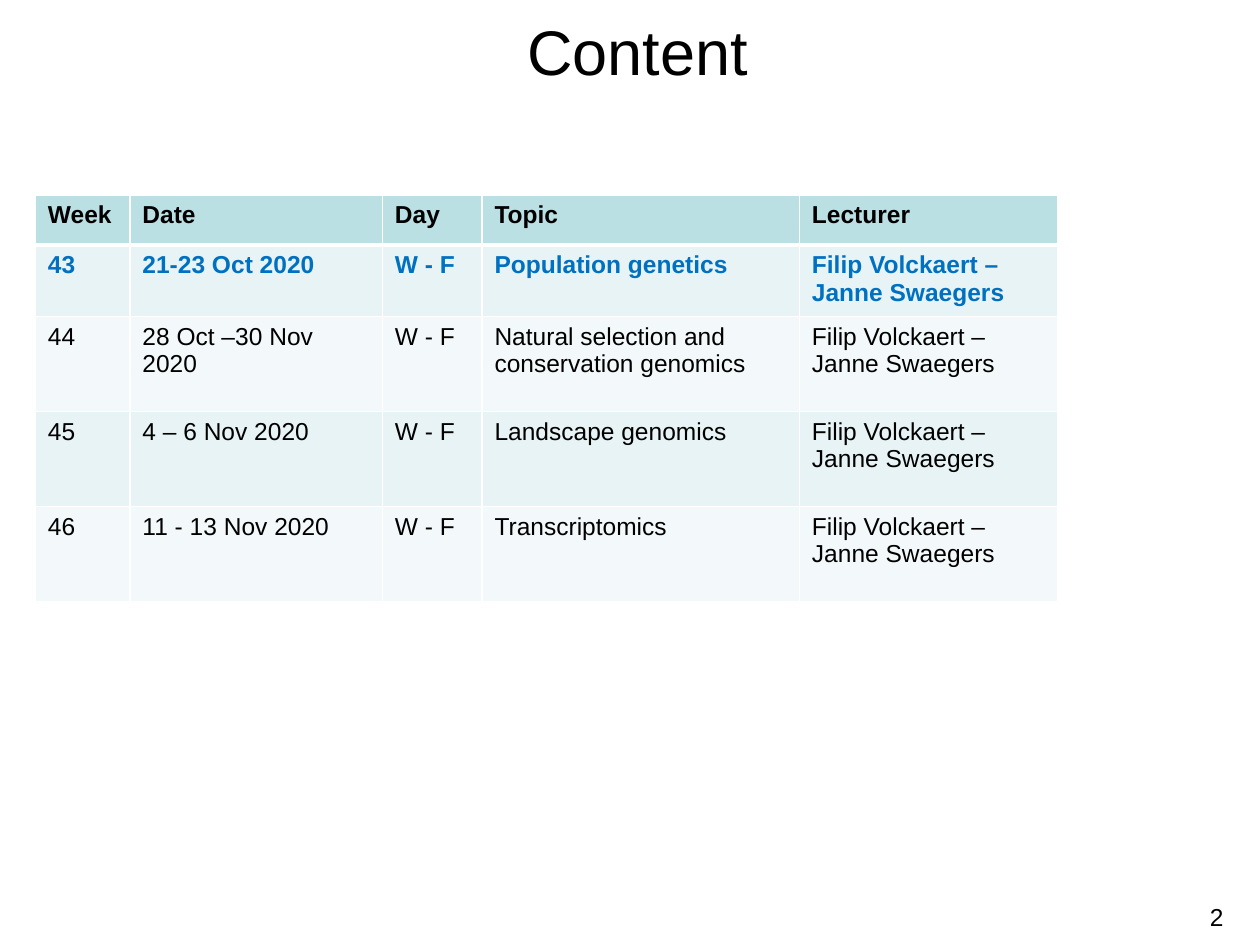
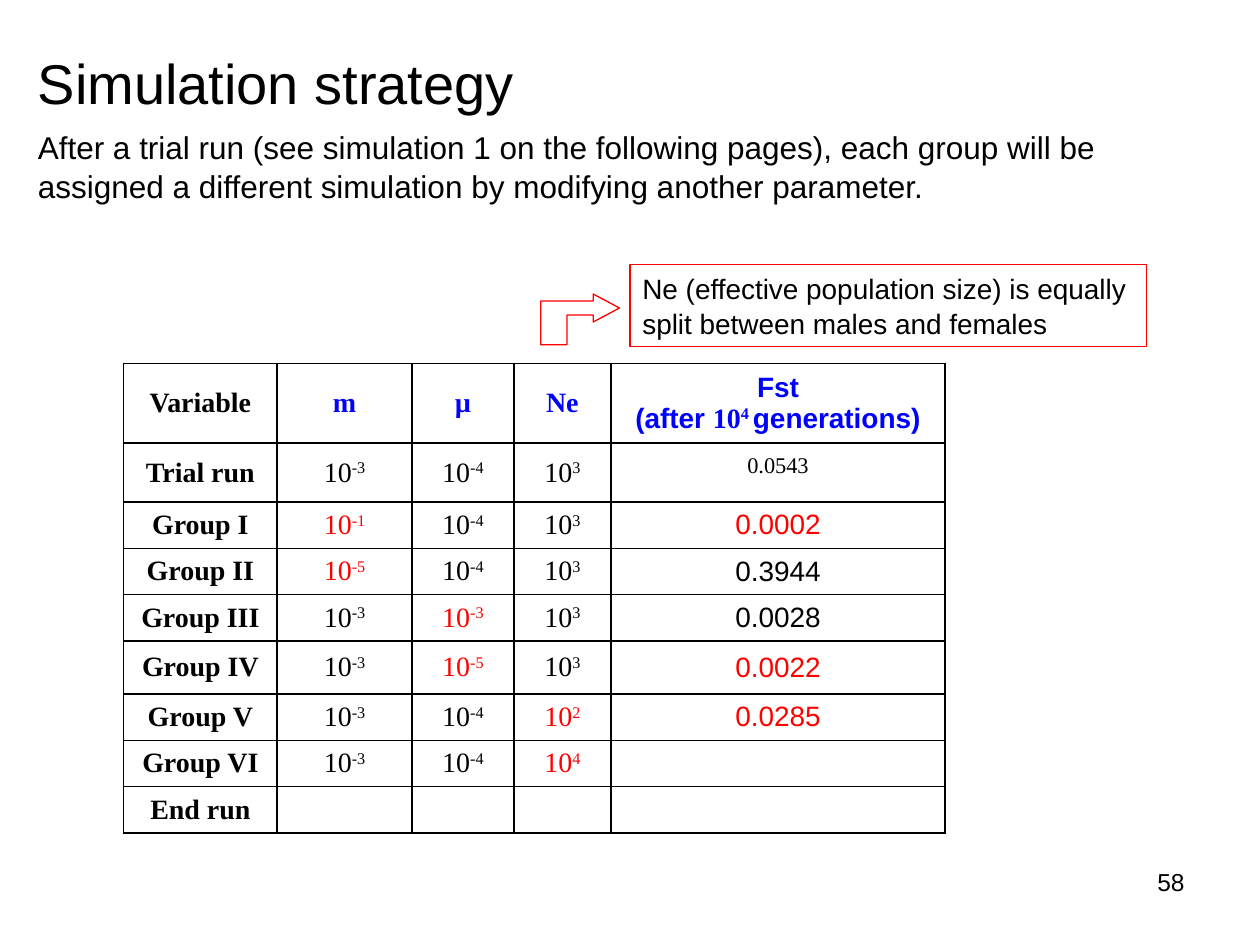
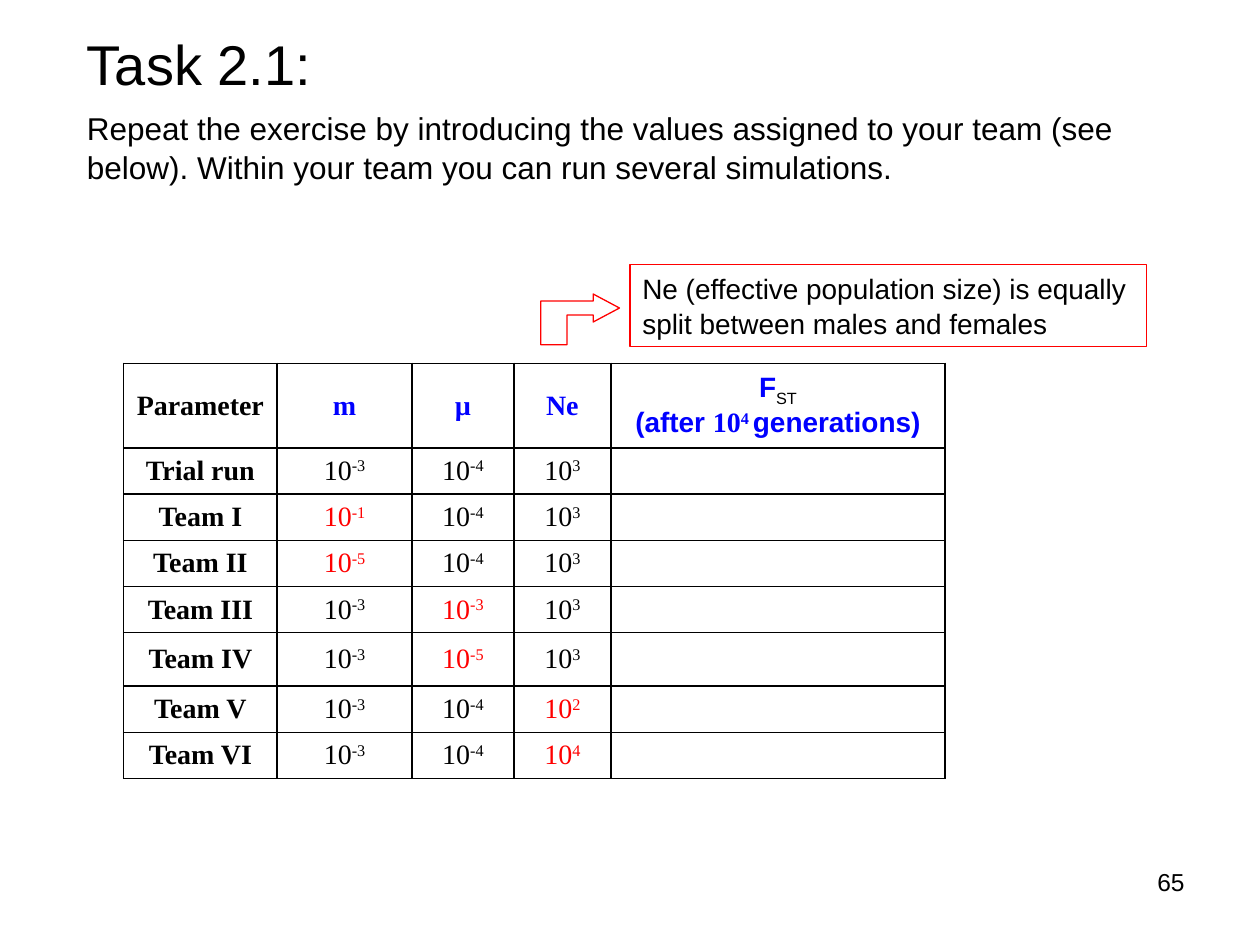
from dataclasses import dataclass

from lxml import etree
from pptx import Presentation
from pptx import util as u
from pptx.dml.color import RGBColor
from pptx.enum import shapes, text
from pptx.oxml.ns import qn

Pt = u.Pt
LEFT, CENTER, RIGHT = text.PP_ALIGN.LEFT, text.PP_ALIGN.CENTER, text.PP_ALIGN.RIGHT
TOP, MIDDLE = text.MSO_ANCHOR.TOP, text.MSO_ANCHOR.MIDDLE


@dataclass(frozen=True)
class Theme:
    sans: str = "Arial"
    serif: str = "Times New Roman"
    black: str = "000000"
    white: str = "FFFFFF"
    red: str = "FF0000"
    blue: str = "0000FF"
    current: str = "0070C0"
    header: str = "BBE0E3"
    bands: tuple = ("E7F3F4", "F3F9FA")
    title: int = 36
    heading: int = 32
    body: int = 18
    cell: int = 16
    small: int = 14


T = Theme()


def write(tf, paragraphs, align=LEFT, anchor=TOP, spacing=None, **fmt):
    """Fill a text frame; a paragraph is a string or a list of (text, format) runs."""
    tf.word_wrap = True
    tf.vertical_anchor = anchor
    for i, runs in enumerate(paragraphs):
        p = tf.paragraphs[0] if i == 0 else tf.add_paragraph()
        p.alignment, p.line_spacing = align, spacing
        p.space_before = Pt(0)
        for words, own in [(runs, {})] if isinstance(runs, str) else runs:
            f = {"font": T.sans, "size": T.small, "color": T.black,
                 "bold": False, "base": 0, **fmt, **own}
            r = p.add_run()
            r.text = words
            r.font.name, r.font.size, r.font.bold = f["font"], Pt(f["size"]), f["bold"]
            r.font.color.rgb = RGBColor.from_string(f["color"])
            if f["base"]:
                r.font._element.set("baseline", str(f["base"] * 1000))


def border(cell, color, width, sides="LRTB"):
    """Draw cell borders; they must stand before the fill in tcPr."""
    tc_pr = cell._tc.get_or_add_tcPr()
    for i, side in enumerate(sides):
        ln = etree.Element(qn(f"a:ln{side}"), w=str(Pt(width)))
        fill = etree.SubElement(ln, qn("a:solidFill"))
        etree.SubElement(fill, qn("a:srgbClr"), val=color)
        tc_pr.insert(i, ln)


class Deck:
    def __init__(self):
        self.prs = Presentation()
        self.prs.slide_width, self.prs.slide_height = Pt(720), Pt(540)
        self.s = None

    def slide(self, layout):
        self.s = self.prs.slides.add_slide(self.prs.slide_layouts[layout])

    def placeholder(self, idx, box, words, inset=(7.2, 3.6), **fmt):
        sp = self.s.placeholders[idx]
        sp.left, sp.top, sp.width, sp.height = map(Pt, box)
        tf = sp.text_frame
        tf.auto_size = text.MSO_AUTO_SIZE.NONE
        tf.margin_left = tf.margin_right = Pt(inset[0])
        tf.margin_top = tf.margin_bottom = Pt(inset[1])
        write(tf, [words], **fmt)
        for p in tf.paragraphs:
            p_pr = p._p.get_or_add_pPr()
            p_pr.set("marL", "0")
            p_pr.set("indent", "0")
            etree.SubElement(p_pr, qn("a:buNone"))

    def heading(self, left, top, width, title, body):
        self.placeholder(0, (left, top + 4, width, 44), title, size=T.heading, anchor=TOP)
        self.placeholder(1, (left, top + 48, width, 52), body, size=T.body, spacing=1.05)

    def number(self, box, words):
        sp = self.s.shapes.add_textbox(*map(Pt, box))
        write(sp.text_frame, [words], align=RIGHT)

    def table(self, left, top, cols, rows):
        frame = self.s.shapes.add_table(len(rows), len(cols), Pt(left), Pt(top),
                                        Pt(sum(cols)), Pt(sum(rows)))
        tbl = frame.table
        tbl.first_row = tbl.horz_banding = False
        for col, width in zip(tbl.columns, cols):
            col.width = Pt(width)
        for row, height in zip(tbl.rows, rows):
            row.height = Pt(height)
        return tbl

    def cell(self, cell, paragraphs, fill=None, line=T.black, anchor=TOP, **fmt):
        if fill:
            cell.fill.solid()
            cell.fill.fore_color.rgb = RGBColor.from_string(fill)
        else:
            cell.fill.background()
        border(cell, line, 1)
        cell.vertical_anchor = anchor
        if paragraphs:
            write(cell.text_frame, paragraphs, anchor=anchor, **fmt)
        else:
            end = cell.text_frame.paragraphs[0]._p.get_or_add_endParaRPr()
            end.set("sz", str(T.cell * 100))

    def outline(self, sp):
        sp.shadow.inherit = False
        sp.fill.background()
        sp.line.color.rgb = RGBColor.from_string(T.red)
        sp.line.width = Pt(0.75)

    def callout(self, box, words):
        sp = self.s.shapes.add_shape(shapes.MSO_SHAPE.RECTANGLE, *map(Pt, box))
        self.outline(sp)
        write(sp.text_frame, [words], size=T.cell, spacing=1.03)

    def bent_arrow(self, points):
        builder = self.s.shapes.build_freeform(*points[0], scale=Pt(1))
        builder.add_line_segments(points[1:], close=True)
        self.outline(builder.convert_to_shape())


# Course schedule
SCHEDULE = [
    ("Week", "Date", "Day", "Topic"),
    ("43", "21-23 Oct 2020", "W - F", "Population genetics"),
    ("44", "28 Oct –30 Nov 2020", "W - F", "Natural selection and conservation genomics"),
    ("45", "4 – 6 Nov 2020", "W - F", "Landscape genomics"),
    ("46", "11 - 13 Nov 2020", "W - F", "Transcriptomics"),
]
LECTURERS = "Filip Volckaert – Janne Swaegers"

# Exponents of m, µ and Ne: the trial run, then one change for each group
TRIAL = (-3, -4, 3)
GROUPS = {"I": (-1, -4, 3), "II": (-5, -4, 3), "III": (-3, -3, 3),
          "IV": (-3, -5, 3), "V": (-3, -4, 2), "VI": (-3, -4, 4)}
SIM_COLS = (87.8, 77, 58.3, 55.4, 191)
ARROW = [(354.2, 176.4), (339.1, 184.3), (339.1, 180), (324, 180), (324, 196.6),
         (308.9, 196.6), (308.9, 172.1), (339.1, 172.1), (339.1, 167.8)]


def schedule_slide(deck):
    deck.slide(5)
    deck.placeholder(0, (105.1, -13.7, 518.4, 85), "Content", inset=(0, 5.8),
                     size=T.title, align=CENTER, anchor=MIDDLE)
    deck.number((532.1, 511.9, 174.2, 28), "2")
    tbl = deck.table(20.2, 111.6, (54, 144.3, 56.9, 181.4, 147.6),
                     (28.5, 39, 54.3, 54.3, 54.3))
    for i, row in enumerate(SCHEDULE):
        for j, words in enumerate(row + (LECTURERS if i else "Lecturer",)):
            cell = tbl.cell(i, j)
            deck.cell(cell, [words], line=T.white, bold=i < 2,
                      fill=T.bands[(i - 1) % 2] if i else T.header,
                      color=T.current if i == 1 else T.black)
            if i < 2:  # thick rule under the header
                edge = "a:lnT" if i else "a:lnB"
                cell._tc.tcPr.find(qn(edge)).set("w", str(Pt(3)))


def simulation_slide(deck, number, heading, corner, unit, fst_title, heights,
                     results, last=()):
    deck.slide(1)
    deck.number((516.2, 491.8, 167.8, 37.4), number)
    deck.heading(*heading)

    # Parameter table
    tbl = deck.table(70.6, 207.6, SIM_COLS, heights)
    style = {"size": T.cell, "font": T.serif, "align": CENTER, "anchor": MIDDLE}
    sans = {"font": T.sans}
    generations = [("(after ", sans), ("10", {}), ("4 ", {"base": 30}),
                   ("generations)", sans)]
    header = [[corner], ["m"], ["µ"], ["Ne"], [fst_title, generations]]
    for j, words in enumerate(header):
        deck.cell(tbl.cell(0, j), words, bold=True,
                  color=T.blue if j else T.black, **style)

    runs = {"Trial run": TRIAL, **{f"{unit} {n}": e for n, e in GROUPS.items()},
            **{name: () for name in last}}
    for i, (name, exponents) in enumerate(runs.items(), 1):
        deck.cell(tbl.cell(i, 0), [name], bold=True, **style)
        for j in range(1, 4):
            power, color = [], T.black
            if exponents:
                power = [[("10", {}), (str(exponents[j - 1]), {"base": 30})]]
                color = T.black if exponents[j - 1] == TRIAL[j - 1] else T.red
            deck.cell(tbl.cell(i, j), power, color=color, **style)
        result = results.get(name)
        deck.cell(tbl.cell(i, 4), [[result]] if result else [], **style)

    # Note on Ne
    deck.callout((360, 151.2, 295.2, 46.8),
                 "Ne (effective population size) is equally split between males and females")
    deck.bent_arrow(ARROW)


def main():
    deck = Deck()
    schedule_slide(deck)

    sans, red = {"font": T.sans}, {"font": T.sans, "color": T.red}
    simulation_slide(
        deck, "58",
        (14.4, 20.2, 668.9, "Simulation strategy",
         "After a trial run (see simulation 1 on the following pages), each group "
         "will be assigned a different simulation by modifying another parameter."),
        "Variable", "Group", [("Fst", sans)],
        (45.4, 33.7, 26.4, 26.4, 26.4, 30.5, 26.4, 26.4, 26.4),
        {"Trial run": ("0.0543", {"size": 22, "base": 30}),
         "Group I": ("0.0002", red), "Group II": ("0.3944", sans),
         "Group III": ("0.0028", sans), "Group IV": ("0.0022", red),
         "Group V": ("0.0285", red)},
        last=("End run",))

    simulation_slide(
        deck, "65",
        (42.5, 9.4, 607, "Task 2.1:",
         "Repeat the exercise by introducing the values assigned to your team (see "
         "below). Within your team you can run several simulations."),
        "Parameter", "Team",
        [("F", sans), ("ST", {**sans, "color": T.black, "bold": False, "base": -25})],
        (48.3, 26.4, 26.4, 26.4, 26.4, 30.5, 26.4, 26.4), {})

    deck.prs.save("out.pptx")


if __name__ == "__main__":
    main()
